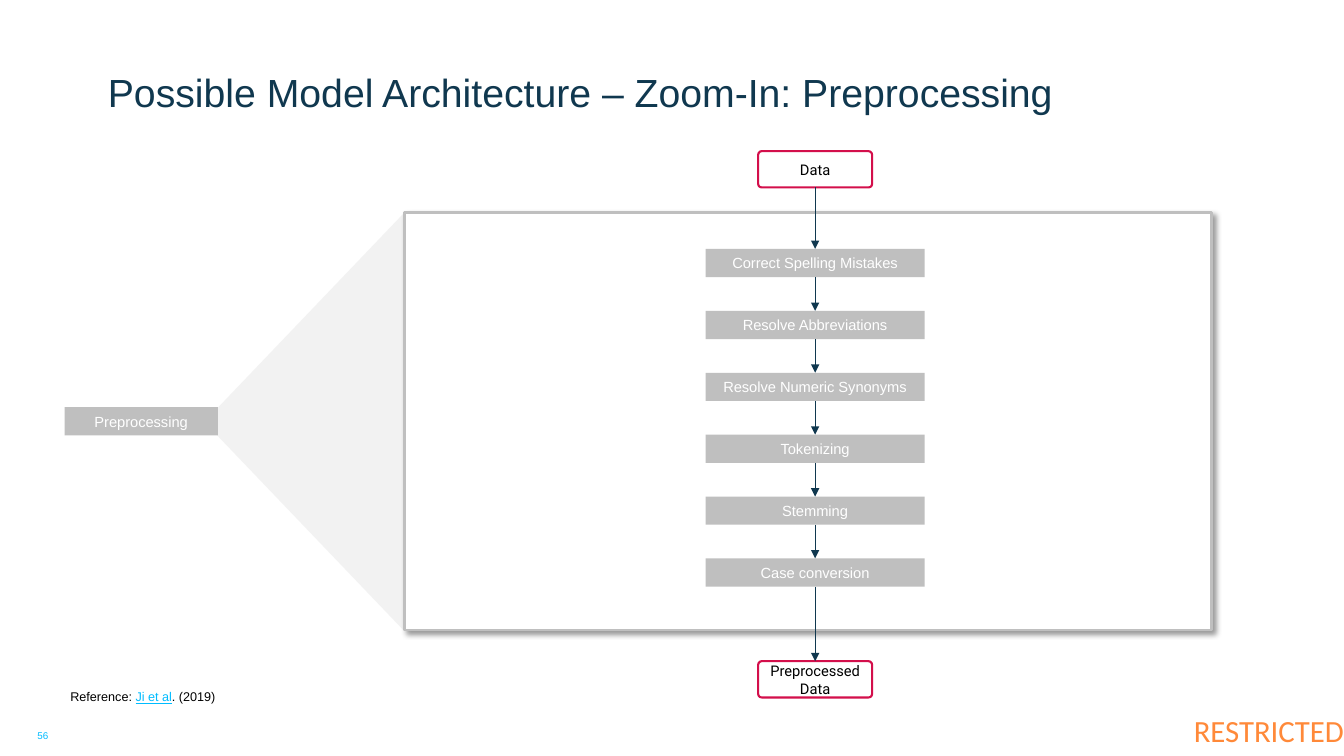
from itertools import pairwise

from lxml.etree import SubElement
from pptx import Presentation
from pptx.dml.color import RGBColor
from pptx.enum.shapes import MSO_CONNECTOR, MSO_SHAPE
from pptx.enum.text import MSO_ANCHOR, MSO_AUTO_SIZE, PP_ALIGN
from pptx.oxml import parse_xml
from pptx.oxml.ns import nsdecls, qn
from pptx.util import Inches, Pt

NAVY = RGBColor(0x10, 0x38, 0x4F)
CYAN = RGBColor(0x00, 0xBC, 0xFF)
ORANGE = RGBColor(0xFF, 0x89, 0x39)
CRIMSON = RGBColor(0xD3, 0x0F, 0x4B)
GRAY = RGBColor(0xBF, 0xBF, 0xBF)
PALE = RGBColor(0xF2, 0xF2, 0xF2)
WHITE = RGBColor(0xFF, 0xFF, 0xFF)
BLACK = RGBColor(0x00, 0x00, 0x00)


def add_block(kind, place, fill=None, line=None, weight=0):
    block = page.shapes.add_shape(kind, *map(Inches, place))
    block.shadow.inherit = False
    if fill is None:
        block.fill.background()
    else:
        block.fill.solid()
        block.fill.fore_color.rgb = fill
    if line is None:
        block.line.fill.background()
    else:
        block.line.color.rgb = line
        block.line.width = Pt(weight)
    return block


def write(shape, spans, size, font="Arial", align=PP_ALIGN.CENTER, anchor=MSO_ANCHOR.MIDDLE, inset=None):
    frame = shape.text_frame
    frame.word_wrap = True
    frame.auto_size = MSO_AUTO_SIZE.NONE
    frame.vertical_anchor = anchor
    if inset is not None:
        frame.margin_left = frame.margin_right = Inches(inset)
        frame.margin_top = frame.margin_bottom = Inches(inset)
    para = frame.paragraphs[0]
    para.alignment = align
    for text, color in spans:
        span = para.add_run()
        span.text = text
        span.font.name = font
        span.font.size = Pt(size)
        span.font.color.rgb = color
    return para


deck = Presentation()
deck.slide_width = Inches(13.33)
deck.slide_height = Inches(7.5)
page = deck.slides.add_slide(deck.slide_layouts[5])

marking = page.shapes.add_textbox(Inches(11.28), Inches(6.99), Inches(2.05), Inches(0.51))
write(marking, [("RESTRICTED", ORANGE)], 22, "Calibri", PP_ALIGN.RIGHT, inset=0)

title = page.shapes.title
title.left, title.top, title.width, title.height = map(Inches, (1.07, 0.2, 11.81, 0.94))
write(title, [("Possible Model Architecture – Zoom-In: Preprocessing", NAVY)], 28,
      align=PP_ALIGN.LEFT, anchor=MSO_ANCHOR.BOTTOM, inset=0)

number = page.shapes.add_textbox(Inches(0.21), Inches(7.24), Inches(0.43), Inches(0.12))
write(number, [("56", CYAN)], 7, anchor=MSO_ANCHOR.TOP, inset=0)

zoom = add_block(MSO_SHAPE.TRAPEZOID, (1.01, 3.26, 4.14, 1.85), PALE)
zoom.adjustments[0] = 1.046
zoom.rotation = 270

panel = add_block(MSO_SHAPE.RECTANGLE, (4.01, 2.11, 8.01, 4.14), WHITE, GRAY, 2)
effects = panel._element.spPr.find(qn("a:effectLst"))
effects.append(parse_xml(
    f'<a:outerShdw {nsdecls("a")} blurRad="{Pt(4)}" dist="{Pt(3)}" dir="2700000" algn="tl" rotWithShape="0">'
    '<a:srgbClr val="000000"><a:alpha val="40000"/></a:srgbClr></a:outerShdw>'))

stage = add_block(MSO_SHAPE.RECTANGLE, (0.64, 4.04, 1.52, 0.28), GRAY)
write(stage, [("Preprocessing", WHITE)], 10.5)

ends = []
for label, top in (("Data", 1.5), ("Preprocessed Data", 6.56)):
    end = add_block(MSO_SHAPE.ROUNDED_RECTANGLE, (7.52, top, 1.13, 0.36), line=CRIMSON, weight=1.5)
    end.adjustments[0] = 0.098
    write(end, [(label, BLACK)], 10.5, "Roboto")
    ends.append(end)

labels = ["Correct Spelling Mistakes", "Resolve Abbreviations", "Resolve Numeric Synonyms",
          "Tokenizing", "Stemming", "Case conversion"]
steps = []
for index, label in enumerate(labels):
    step = add_block(MSO_SHAPE.RECTANGLE, (7, 2.47 + index * 3.07 / 5, 2.17, 0.28), GRAY)
    write(step, [(label, WHITE)], 10.5)
    steps.append(step)

for above, below in pairwise([ends[0], *steps, ends[1]]):
    arrow = page.shapes.add_connector(MSO_CONNECTOR.STRAIGHT, 0, 0, 0, 0)
    arrow.begin_connect(above, 2)
    arrow.end_connect(below, 0)
    arrow.line.color.rgb = NAVY
    arrow.line.width = Pt(0.5)
    SubElement(arrow.line._get_or_add_ln(), qn("a:tailEnd"), type="triangle")
    SubElement(arrow._element.spPr, qn("a:effectLst"))

reference = page.shapes.add_textbox(Inches(0.6), Inches(6.67), Inches(3.26), Inches(0.48))
citation = write(reference, [("Reference: ", BLACK), ("Ji et al", CYAN), (". (2019)", BLACK)], 9,
                 align=PP_ALIGN.LEFT)
citation.runs[1].font.underline = True

deck.save("out.pptx")
